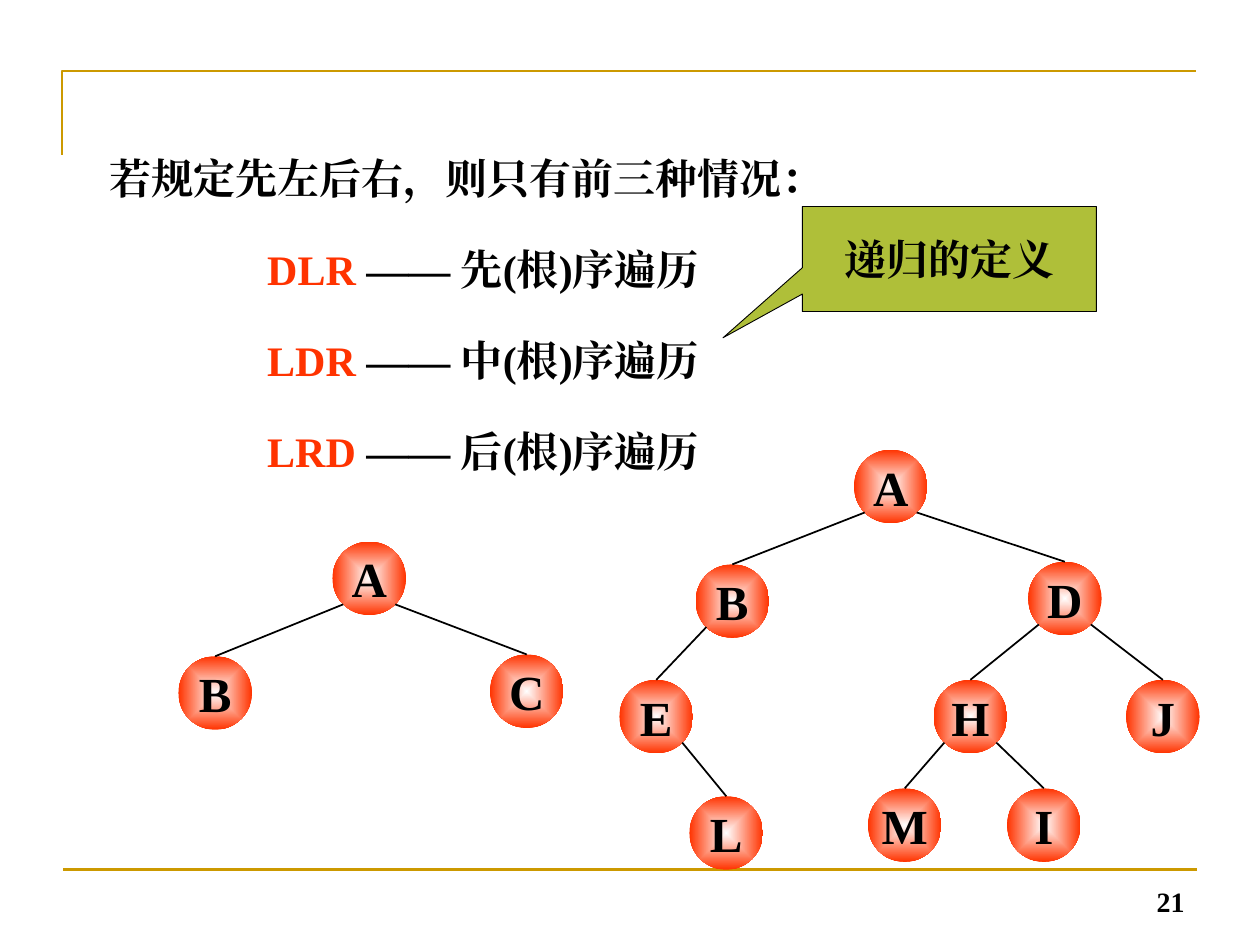
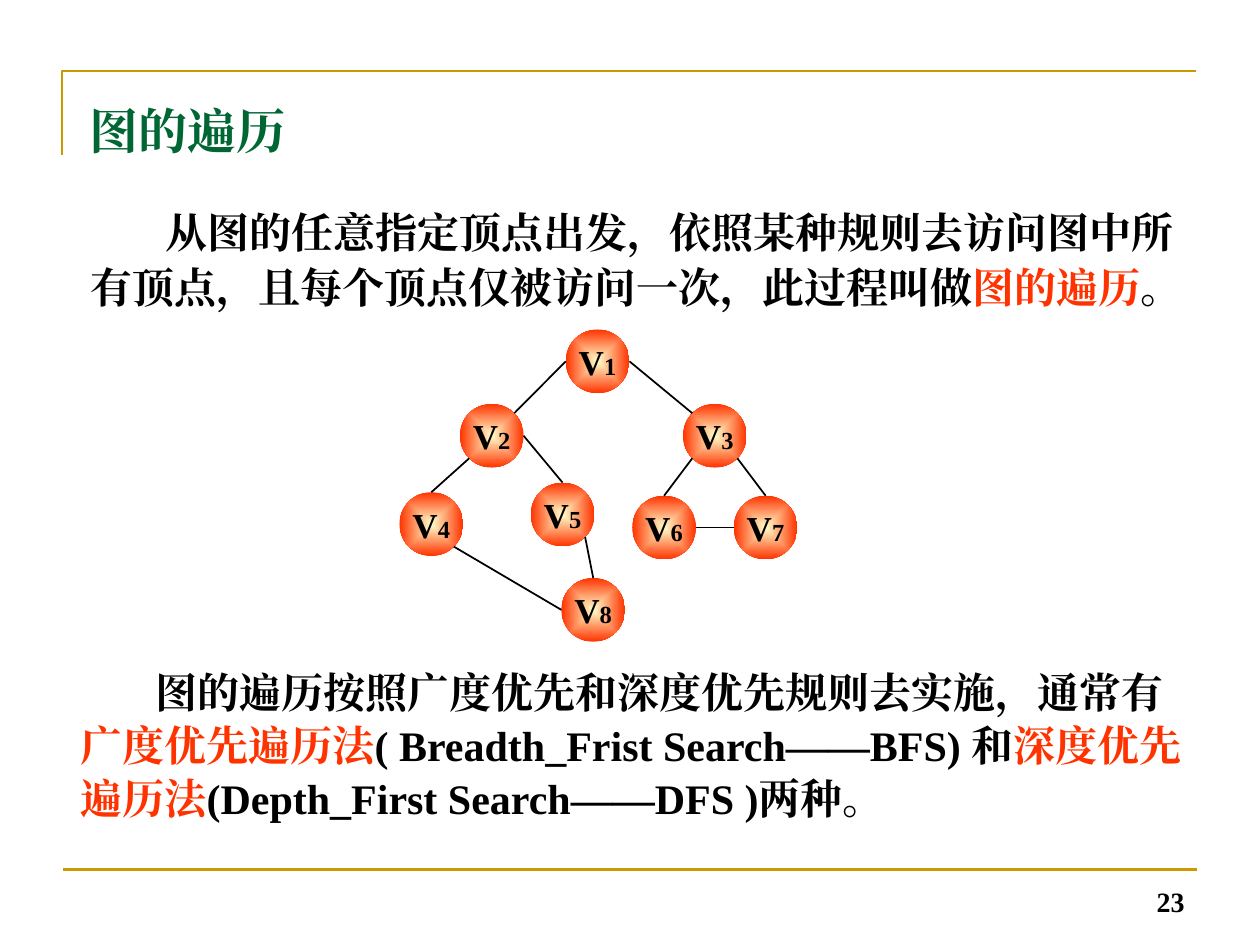
"""Build two slides on the traversal of binary trees and graphs."""
from dataclasses import dataclass
from enum import Enum
from typing import Any

import lxml.etree
import pptx
import pptx.dml.color
import pptx.enum.dml
import pptx.enum.shapes
import pptx.enum.text
import pptx.oxml
import pptx.oxml.ns
import pptx.util

Pt = pptx.util.Pt
RGBColor = pptx.dml.color.RGBColor
Align = pptx.enum.text.PP_ALIGN
Anchor = pptx.enum.text.MSO_ANCHOR
Preset = pptx.enum.shapes.MSO_SHAPE
Box = tuple[float, float, float, float]

BLACK = RGBColor(0x00, 0x00, 0x00)
WHITE = RGBColor(0xFF, 0xFF, 0xFF)
CREAM = RGBColor(0xFF, 0xFF, 0xCC)
RED = RGBColor(0xFF, 0x33, 0x00)
GOLD = RGBColor(0xCC, 0x99, 0x00)
OLIVE = RGBColor(0xAF, 0xBF, 0x39)
GREEN = RGBColor(0x00, 0x66, 0x33)
FONT_NAME = "Times New Roman"
DIAGONAL = 0.5 ** 0.5


class Site(Enum):
    """Attachment points on a circle, as offsets in radii."""

    TOP = (0, -1)
    LEFT = (-1, 0)
    RIGHT = (1, 0)
    TOP_LEFT = (-DIAGONAL, -DIAGONAL)
    TOP_RIGHT = (DIAGONAL, -DIAGONAL)
    BOTTOM_LEFT = (-DIAGONAL, DIAGONAL)
    BOTTOM_RIGHT = (DIAGONAL, DIAGONAL)


@dataclass(frozen=True)
class Run:
    """A stretch of bold text in one colour and size."""

    text: str
    color: RGBColor = BLACK
    size: float = 24


@dataclass(frozen=True)
class Line:
    """A paragraph with its indents and spacing."""

    runs: tuple[Run, ...]
    align: Any = Align.LEFT
    spacing: float | None = None
    margin: float = 0
    indent: float = 0


@dataclass(frozen=True)
class Edge:
    """A line between two named nodes."""

    start: str
    end: str
    start_site: Site
    end_site: Site = Site.TOP


@dataclass(frozen=True)
class Diagram:
    """Circles given by their centres, and the edges between them."""

    nodes: dict[str, tuple[float, float]]
    edges: tuple[Edge, ...]
    diameter: float
    center_color: RGBColor
    label_sizes: tuple[float, float]


SMALL_TREE = Diagram(
    nodes={"A": (211, 330.5), "B": (123, 396), "C": (301, 395)},
    edges=(Edge("A", "B", Site.BOTTOM_LEFT), Edge("A", "C", Site.BOTTOM_RIGHT)),
    diameter=42, center_color=WHITE, label_sizes=(28, 28),
)
LARGE_TREE = Diagram(
    nodes={
        "A": (509, 278), "B": (418.5, 343.5), "D": (608.5, 342),
        "E": (375, 409.5), "H": (554.5, 409.5), "J": (664.5, 409.5),
        "L": (415, 476), "M": (517, 471.5), "I": (596.5, 471.5),
    },
    edges=(
        Edge("A", "B", Site.BOTTOM_LEFT), Edge("A", "D", Site.BOTTOM_RIGHT),
        Edge("B", "E", Site.BOTTOM_LEFT), Edge("E", "L", Site.BOTTOM_RIGHT),
        Edge("D", "H", Site.BOTTOM_LEFT), Edge("D", "J", Site.BOTTOM_RIGHT),
        Edge("H", "M", Site.BOTTOM_LEFT), Edge("H", "I", Site.BOTTOM_RIGHT),
    ),
    diameter=42, center_color=WHITE, label_sizes=(28, 28),
)
GRAPH = Diagram(
    nodes={
        "V1": (341.5, 206.5), "V2": (281, 249), "V3": (408.5, 249),
        "V4": (246.5, 299.5), "V5": (321.5, 294), "V6": (379.5, 301.5),
        "V7": (437.5, 301.5), "V8": (339, 348.5),
    },
    edges=(
        Edge("V1", "V2", Site.LEFT, Site.TOP_RIGHT),
        Edge("V1", "V3", Site.RIGHT, Site.TOP_LEFT),
        Edge("V2", "V4", Site.BOTTOM_LEFT), Edge("V2", "V5", Site.RIGHT),
        Edge("V3", "V6", Site.BOTTOM_LEFT), Edge("V3", "V7", Site.BOTTOM_RIGHT),
        Edge("V4", "V8", Site.BOTTOM_RIGHT, Site.LEFT),
        Edge("V5", "V8", Site.BOTTOM_RIGHT),
        Edge("V7", "V6", Site.LEFT, Site.RIGHT),
    ),
    diameter=36.4, center_color=CREAM, label_sizes=(20, 14),
)
ORDERS = {"DLR": "先", "LDR": "中", "LRD": "后"}


def apply_format(target: Any, values: dict[str, Any]) -> None:
    """Set each named attribute of the target."""
    for name, value in values.items():
        setattr(target, name, value)


def points(box: Box) -> list[Any]:
    """Convert a box to lengths."""
    return [Pt(value) for value in box]


def write_lines(shape: Any, lines: list[Line], anchor: Any = Anchor.TOP, wrap: bool = True) -> None:
    """Fill a shape with formatted paragraphs."""
    frame = shape.text_frame
    apply_format(frame, {
        "word_wrap": wrap, "vertical_anchor": anchor,
        "auto_size": pptx.enum.text.MSO_AUTO_SIZE.NONE,
    })
    for index, line in enumerate(lines):
        paragraph = frame.add_paragraph() if index else frame.paragraphs[0]
        properties = paragraph._p.get_or_add_pPr()
        properties.set("marL", str(Pt(line.margin)))
        properties.set("indent", str(Pt(line.indent)))
        lxml.etree.SubElement(properties, pptx.oxml.ns.qn("a:buNone"))
        spacing = Pt(line.spacing) if line.spacing else None
        apply_format(paragraph, {
            "alignment": line.align, "space_before": Pt(0), "line_spacing": spacing,
        })
        for part in line.runs:
            run = paragraph.add_run()
            run.text = part.text
            apply_format(run.font, {"name": FONT_NAME, "size": Pt(part.size), "bold": True})
            run.font.color.rgb = part.color
            east_asian = pptx.oxml.ns.qn("a:ea")
            lxml.etree.SubElement(run.font._element, east_asian, typeface=FONT_NAME)


def place(shape: Any, box: Box) -> None:
    """Move a placeholder to a box."""
    apply_format(shape, dict(zip(("left", "top", "width", "height"), points(box))))


def style_line(line: Any, color: RGBColor, width: float) -> None:
    """Give a line its colour and width."""
    line.color.rgb = color
    line.width = Pt(width)


def draw_line(slide: Any, ends: Box, color: RGBColor, width: float) -> None:
    """Draw a straight line without a shadow."""
    connector = slide.shapes.add_connector(
        pptx.enum.shapes.MSO_CONNECTOR.STRAIGHT, *points(ends)
    )
    style_line(connector.line, color, width)
    lxml.etree.SubElement(connector._element.spPr, pptx.oxml.ns.qn("a:effectLst"))


def draw_frame(slide: Any, number: int) -> None:
    """Draw the corner rule, the bottom rule and the slide number."""
    builder = slide.shapes.build_freeform(Pt(35.5), Pt(88.5))
    builder.add_line_segments([(Pt(35.5), Pt(40.5)), (Pt(683.5), Pt(40.5))], close=False)
    corner = builder.convert_to_shape()
    corner.shadow.inherit = False
    corner.fill.background()
    style_line(corner.line, GOLD, 1.5)
    draw_line(slide, (36, 497, 684, 497), GOLD, 1.5)
    number_box = slide.shapes.add_textbox(*points((516, 492, 168, 36)))
    write_lines(number_box, [Line((Run(str(number), size=16),), Align.RIGHT)], Anchor.BOTTOM)


def fill_radially(shape: Any, center_color: RGBColor) -> None:
    """Shade a shape from its centre to a red rim."""
    shape.fill.gradient()
    for stop, color in zip(shape.fill.gradient_stops, (center_color, RED)):
        stop.color.rgb = color
    gradient = shape._element.spPr.find(pptx.oxml.ns.qn("a:gradFill"))
    gradient.remove(gradient.find(pptx.oxml.ns.qn("a:lin")))
    shading = lxml.etree.SubElement(gradient, pptx.oxml.ns.qn("a:path"), path="rect")
    lxml.etree.SubElement(
        shading, pptx.oxml.ns.qn("a:fillToRect"), dict.fromkeys("ltrb", "50000")
    )


def draw_diagram(slide: Any, diagram: Diagram) -> None:
    """Draw the labelled circles and then their edges."""
    radius = diagram.diameter / 2
    for label, (x, y) in diagram.nodes.items():
        box = (x - radius, y - radius, diagram.diameter, diagram.diameter)
        circle = slide.shapes.add_shape(Preset.OVAL, *points(box))
        circle.shadow.inherit = False
        circle.line.fill.background()
        fill_radially(circle, diagram.center_color)
        runs = tuple(Run(text, size=size) for text, size in zip(label, diagram.label_sizes))
        write_lines(circle, [Line(runs, Align.CENTER)], Anchor.MIDDLE, wrap=False)
    for edge in diagram.edges:
        ends = [
            center + offset * radius
            for name, site in ((edge.start, edge.start_site), (edge.end, edge.end_site))
            for center, offset in zip(diagram.nodes[name], site.value)
        ]
        draw_line(slide, tuple(ends), BLACK, 1)


def build_tree_slide(presentation: Any) -> None:
    """Build the slide on the three traversal orders."""
    slide = presentation.slides.add_slide(presentation.slide_layouts[1])
    title, body = slide.placeholders
    title._element.getparent().remove(title._element)
    draw_frame(slide, 21)
    place(body, (55.5, 60.5, 428, 214.5))
    lines = [Line((Run("若规定先左后右，则只有前三种情况："),), spacing=52)]
    for order, root_position in ORDERS.items():
        runs = (Run(f"{order} ", RED), Run(f"—— {root_position}(根)序遍历"))
        lines.append(Line(runs, spacing=52, margin=90))
    write_lines(body, lines)
    draw_diagram(slide, LARGE_TREE)
    callout = slide.shapes.add_shape(
        Preset.RECTANGULAR_CALLOUT, *points((458.5, 118, 168, 60))
    )
    callout.shadow.inherit = False
    callout.adjustments[0], callout.adjustments[1] = -0.77, 0.75
    callout.fill.solid()
    callout.fill.fore_color.rgb = OLIVE
    style_line(callout.line, BLACK, 0.5)
    write_lines(callout, [Line((Run("递归的定义"),), Align.CENTER)], Anchor.MIDDLE)
    draw_diagram(slide, SMALL_TREE)


def build_graph_slide(presentation: Any) -> None:
    """Build the slide on graph traversal."""
    slide = presentation.slides.add_slide(presentation.slide_layouts[1])
    title, body = slide.placeholders
    draw_frame(slide, 23)
    place(title, (44, 54, 338, 41))
    write_lines(title, [Line((Run("图的遍历", GREEN, 28),))])
    place(body, (44.5, 111.5, 656, 70.5))
    definition = (
        Run("从图的任意指定顶点出发，依照某种规则去访问图中所有顶点，"
            "且每个顶点仅被访问一次，此过程叫做"),
        Run("图的遍历", RED),
        Run("。"),
    )
    write_lines(body, [Line(definition, spacing=31.5, indent=43)])
    methods = (
        Run("图的遍历按照广度优先和深度优先规则去实施，通常有"),
        Run("广度优先遍历法", RED),
        Run("( Breadth_Frist Search——BFS) 和"),
        Run("深度优先遍历法", RED),
        Run("(Depth_First Search——DFS )两种。"),
    )
    methods_box = slide.shapes.add_textbox(*points((39, 376, 654.5, 98)))
    write_lines(methods_box, [Line(methods, spacing=30.25, indent=43)])
    draw_diagram(slide, GRAPH)


def main() -> None:
    """Build and save the presentation."""
    presentation = pptx.Presentation()
    apply_format(presentation, {"slide_width": Pt(720), "slide_height": Pt(540)})
    build_tree_slide(presentation)
    build_graph_slide(presentation)
    presentation.save("out.pptx")


if __name__ == "__main__":
    main()
